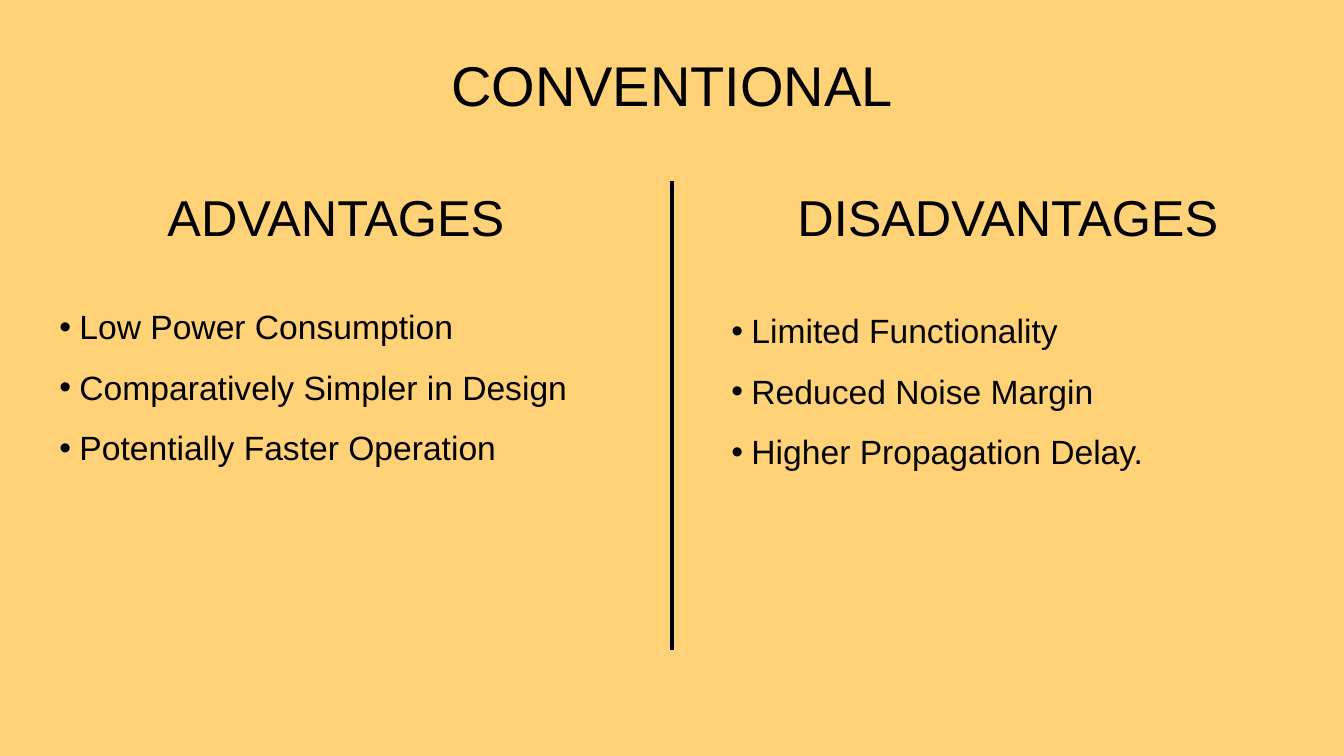
from lxml import etree
from pptx import Presentation
from pptx import util as u
from pptx.dml import color
from pptx.enum import shapes, text
from pptx.oxml import ns

INK = {"page": "FFD277", "text": "000000", "soft": "050505"}
WIDE, HIGH = 13.33, 7.5
HALF = WIDE / 2
TOP = 1.8
HANG = 0.2


def shade(name):
    """Return the named colour."""
    return color.RGBColor.from_string(INK[name])


def place(shape, box):
    """Move a shape to a box in inches."""
    shape.left, shape.top, shape.width, shape.height = map(u.Inches, box)


def write(para, words, size, ink="text"):
    """Add one run of Arial text."""
    run = para.add_run()
    run.text = words
    run.font.name = "Arial"
    run.font.size = u.Pt(size)
    run.font.color.rgb = shade(ink)


def head(shape, words, size):
    """Fill a shape with a centred heading."""
    frame = shape.text_frame
    frame.word_wrap = True
    frame.vertical_anchor = text.MSO_ANCHOR.TOP
    para = frame.paragraphs[0]
    para.alignment = text.PP_ALIGN.CENTER
    para.line_spacing = 1.0
    para.space_before = u.Pt(0)
    write(para, words, size)


def add_box(slide, box):
    """Add an empty text box."""
    return slide.shapes.add_textbox(*map(u.Inches, box))


def add_page(slide, box):
    """Lay a plain coloured panel behind everything."""
    panel = slide.shapes.add_shape(
        shapes.MSO_SHAPE.RECTANGLE, *map(u.Inches, box))
    panel.shadow.inherit = False
    panel.fill.solid()
    panel.fill.fore_color.rgb = shade("page")
    panel.line.fill.background()
    slide.shapes.title._element.addprevious(panel._element)


def bullet(para):
    """Give a paragraph a hanging round bullet."""
    props = para._p.get_or_add_pPr()
    props.set("marL", str(u.Inches(HANG)))
    props.set("indent", str(u.Inches(-HANG)))
    font = etree.SubElement(props, ns.qn("a:buFont"))
    font.set("typeface", "Arial")
    mark = etree.SubElement(props, ns.qn("a:buChar"))
    mark.set("char", "•")


def add_list(slide, box, items, ink):
    """Add a bulleted list with open line spacing."""
    frame = add_box(slide, box).text_frame
    frame.word_wrap = True
    for i, item in enumerate(items):
        para = frame.add_paragraph() if i else frame.paragraphs[0]
        bullet(para)
        para.line_spacing = 1.5
        write(para, item, 24, ink)


def add_side(slide, left, name, items, drop, ink):
    """Add one half: a heading over its list."""
    head(add_box(slide, (left, TOP, HALF, 0.71)), name, 36)
    add_list(slide, (left + 0.49, TOP + drop, 5.7, 1.85), items, ink)


def add_rule(slide, x, top, end):
    """Add the upright line between the halves."""
    rule = slide.shapes.add_connector(
        shapes.MSO_CONNECTOR.STRAIGHT, *map(u.Inches, (x, top, x, end)))
    rule.line.color.rgb = shade("text")
    rule.line.width = u.Pt(2.25)
    etree.SubElement(rule._element.spPr, ns.qn("a:effectLst"))


def main():
    """Build and save the slide."""
    deck = Presentation()
    deck.slide_width, deck.slide_height = u.Inches(WIDE), u.Inches(HIGH)
    slide = deck.slides.add_slide(deck.slide_layouts[5])
    add_page(slide, (0, 0, WIDE, HIGH))

    title = slide.shapes.title
    place(title, (2.28, 0.45, 8.77, 0.77))
    head(title, "CONVENTIONAL", 40)
    add_rule(slide, HALF, TOP, 6.45)
    add_side(slide, 0, "ADVANTAGES",
             ["Low Power Consumption", "Comparatively Simpler in Design",
              "Potentially Faster Operation"], 0.99, "text")
    add_side(slide, HALF, "DISADVANTAGES",
             ["Limited Functionality", "Reduced Noise Margin",
              "Higher Propagation Delay."], 1.03, "soft")
    deck.save("out.pptx")


if __name__ == "__main__":
    main()
